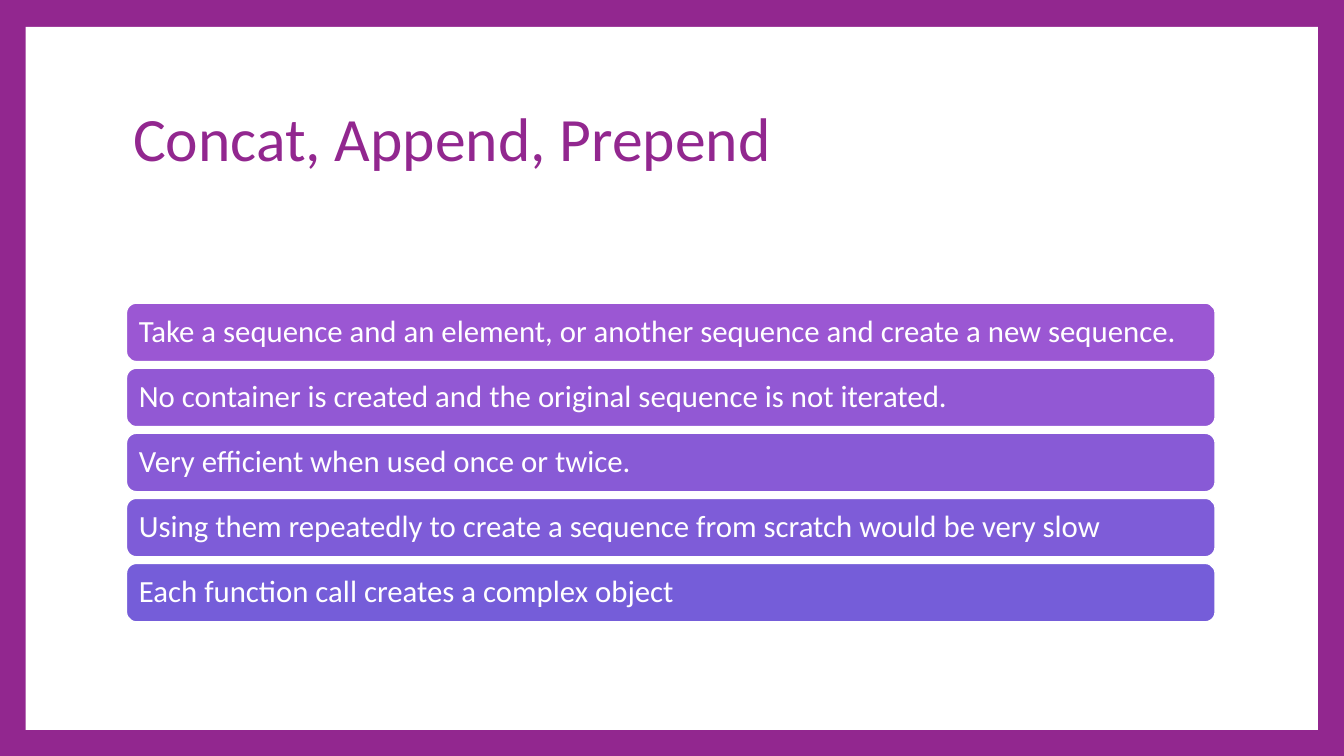
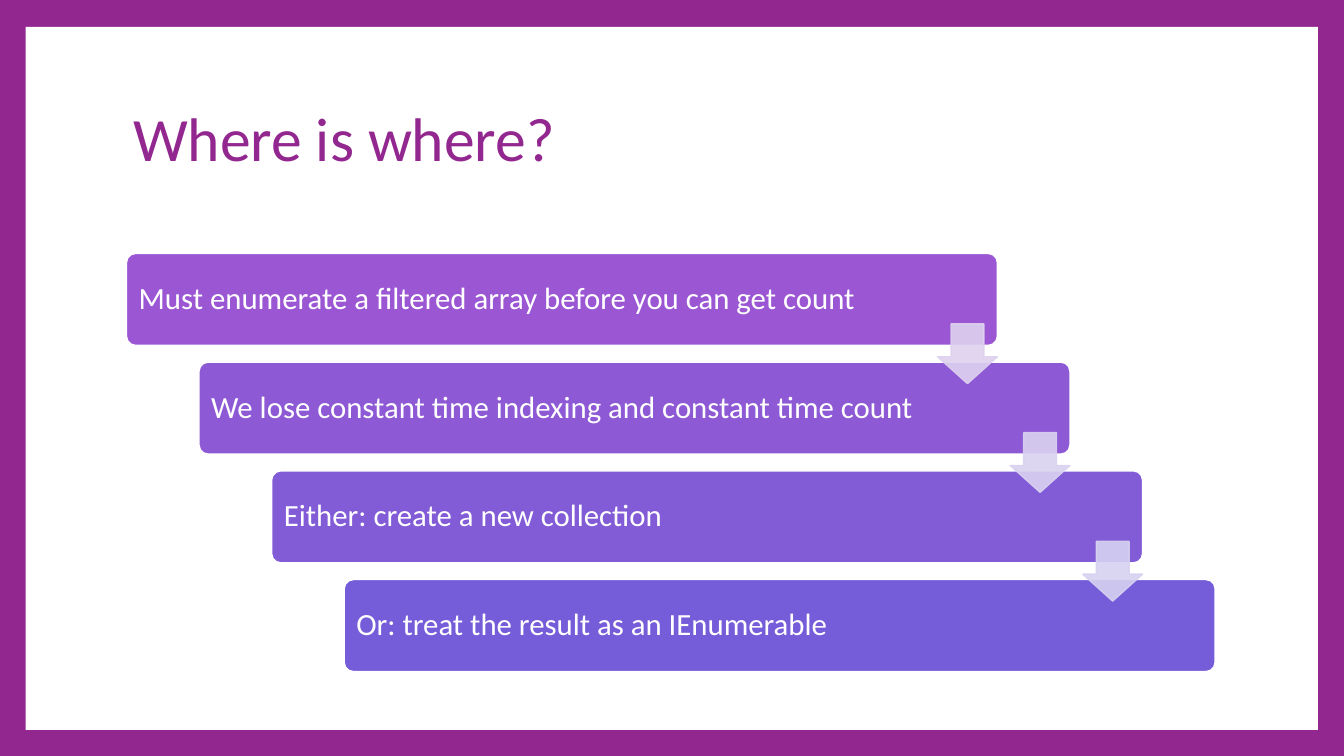
"""Builds two framed slides: a stack of bars and a staircase of bars with arrows."""
from dataclasses import dataclass

from lxml.etree import SubElement
from pptx import Presentation
from pptx.dml.color import RGBColor
from pptx.enum.shapes import MSO_SHAPE as Preset
from pptx.enum.text import MSO_ANCHOR as Anchor
from pptx.oxml.ns import qn
from pptx.util import Cm, Pt


@dataclass(frozen=True)
class Theme:
    font: str = "Calibri"
    purple: RGBColor = RGBColor.from_string("92278F")
    white: RGBColor = RGBColor.from_string("FFFFFF")
    bar_first: RGBColor = RGBColor.from_string("9B57D3")
    bar_last: RGBColor = RGBColor.from_string("755DD9")
    arrow_first: RGBColor = RGBColor.from_string("DED1EF")
    arrow_last: RGBColor = RGBColor.from_string("D6D2F1")
    title_size: int = 66
    body_size: int = 33
    outline: float = 1.5


@dataclass(frozen=True)
class Box:
    left: int
    top: int
    width: int
    height: int

    @property
    def right(self) -> int:
        return self.left + self.width

    @property
    def bottom(self) -> int:
        return self.top + self.height


@dataclass(frozen=True)
class BarStack:
    texts: tuple[str, ...]
    top: int
    width: int
    height: int
    pitch: int
    corner: float

    def boxes(self) -> list[Box]:
        """Spread the bars evenly from the left margin to the right one."""
        step = (CONTENT_WIDTH - self.width) / (len(self.texts) - 1)
        return [
            Box(MARGIN + round(index * step), self.top + index * self.pitch,
                self.width, self.height)
            for index in range(len(self.texts))
        ]


THEME = Theme()
MARGIN = Cm(4.78)
CONTENT_WIDTH = Cm(41.15)
FRAME = Box(Cm(0.97), Cm(1.02), Cm(48.84), Cm(26.57))
TITLE = Box(MARGIN, Cm(2.54), CONTENT_WIDTH, Cm(5.66))
BAR_INSET = Cm(0.36)
ARROW_SIZE = Cm(2.26)

SEQUENCE_BARS = BarStack(
    (
        "Take a sequence and an element, or another sequence and create a new sequence.",
        "No container is created and the original sequence is not iterated.",
        "Very efficient when used once or twice.",
        "Using them repeatedly to create a sequence from scratch would be very slow",
        "Each function call creates a complex object",
    ),
    top=Cm(11.46), width=CONTENT_WIDTH, height=Cm(2.21), pitch=Cm(2.46), corner=0.17,
)
WHERE_BARS = BarStack(
    (
        "Must enumerate a filtered array before you can get count",
        "We lose constant time indexing and constant time count",
        "Either: create a new collection",
        "Or: treat the result as an IEnumerable",
    ),
    top=Cm(9.58), width=Cm(32.92), height=Cm(3.48), pitch=Cm(4.11), corner=0.1,
)


def blend(first: RGBColor, last: RGBColor, count: int) -> list[RGBColor]:
    """Return evenly spaced colours between two ends."""
    return [
        RGBColor(*(round(a + (b - a) * index / (count - 1)) for a, b in zip(first, last)))
        for index in range(count)
    ]


def add_preset(page, preset, box: Box, fill: RGBColor, line: RGBColor | None = None,
               adjustments: tuple[float, ...] = (), opacity: int = 100):
    """Draw a flat preset shape."""
    shape = page.shapes.add_shape(preset, box.left, box.top, box.width, box.height)
    shape.shadow.inherit = False
    for index, value in enumerate(adjustments):
        shape.adjustments[index] = value
    shape.fill.solid()
    shape.fill.fore_color.rgb = fill
    if line is None:
        shape.line.fill.background()
    else:
        shape.line.color.rgb = line
        shape.line.width = Pt(THEME.outline)
    if opacity < 100:
        for color in shape._element.spPr.iter(qn("a:srgbClr")):
            SubElement(color, qn("a:alpha")).set("val", str(opacity * 1000))
    return shape


def write(shape, text: str, *, size: int, color: RGBColor, inset: int | None = None) -> None:
    """Put one left-aligned, vertically centred paragraph in a shape."""
    frame = shape.text_frame
    frame.word_wrap = True
    frame.vertical_anchor = Anchor.MIDDLE
    if inset is not None:
        frame.margin_left = frame.margin_right = inset
        frame.margin_top = frame.margin_bottom = inset
    para = frame.paragraphs[0]
    para.alignment = 1
    para.line_spacing = 0.9
    span = para.add_run()
    span.text = text
    span.font.name = THEME.font
    span.font.size = Pt(size)
    span.font.color.rgb = color


def add_page(deck, title: str):
    """Add a slide with the purple border, white panel and title."""
    page = deck.slides.add_slide(deck.slide_layouts[6])
    page.background.fill.solid()
    page.background.fill.fore_color.rgb = THEME.purple
    add_preset(page, Preset.RECTANGLE, FRAME, THEME.white)
    box = page.shapes.add_textbox(TITLE.left, TITLE.top, TITLE.width, TITLE.height)
    write(box, title, size=THEME.title_size, color=THEME.purple)
    return page


def add_bars(page, stack: BarStack) -> None:
    """Draw the text bars of a stack."""
    colors = blend(THEME.bar_first, THEME.bar_last, len(stack.texts))
    for text, box, color in zip(stack.texts, stack.boxes(), colors):
        bar = add_preset(page, Preset.ROUNDED_RECTANGLE, box, color, THEME.white,
                         (stack.corner,))
        write(bar, text, size=THEME.body_size, color=THEME.white, inset=BAR_INSET)


def add_step_arrows(page, stack: BarStack) -> None:
    """Centre an arrow on each gap, flush with the right end of the upper bar."""
    boxes = stack.boxes()
    colors = blend(THEME.arrow_first, THEME.arrow_last, len(boxes) - 1)
    for upper, lower, color in zip(boxes, boxes[1:], colors):
        middle = (upper.bottom + lower.top) // 2
        box = Box(upper.right - ARROW_SIZE, middle - ARROW_SIZE // 2, ARROW_SIZE, ARROW_SIZE)
        add_preset(page, Preset.DOWN_ARROW, box, color, color, (0.55, 0.45), opacity=90)


def main() -> None:
    """Build and save the deck."""
    deck = Presentation()
    deck.slide_width, deck.slide_height = Cm(50.8), Cm(28.58)
    add_bars(add_page(deck, "Concat, Append, Prepend"), SEQUENCE_BARS)
    where_page = add_page(deck, "Where is where?")
    add_bars(where_page, WHERE_BARS)
    add_step_arrows(where_page, WHERE_BARS)
    deck.save("out.pptx")


if __name__ == "__main__":
    main()
